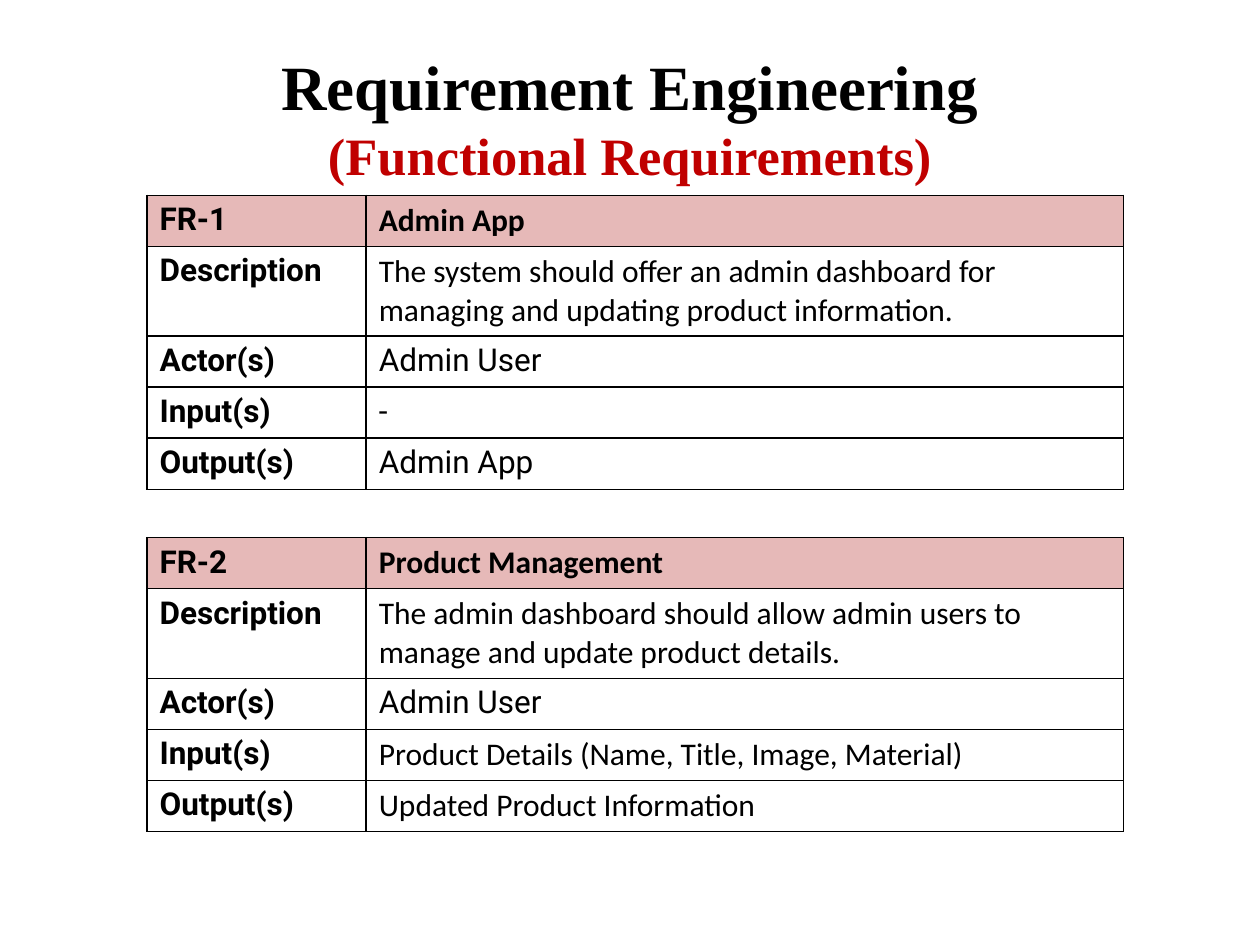
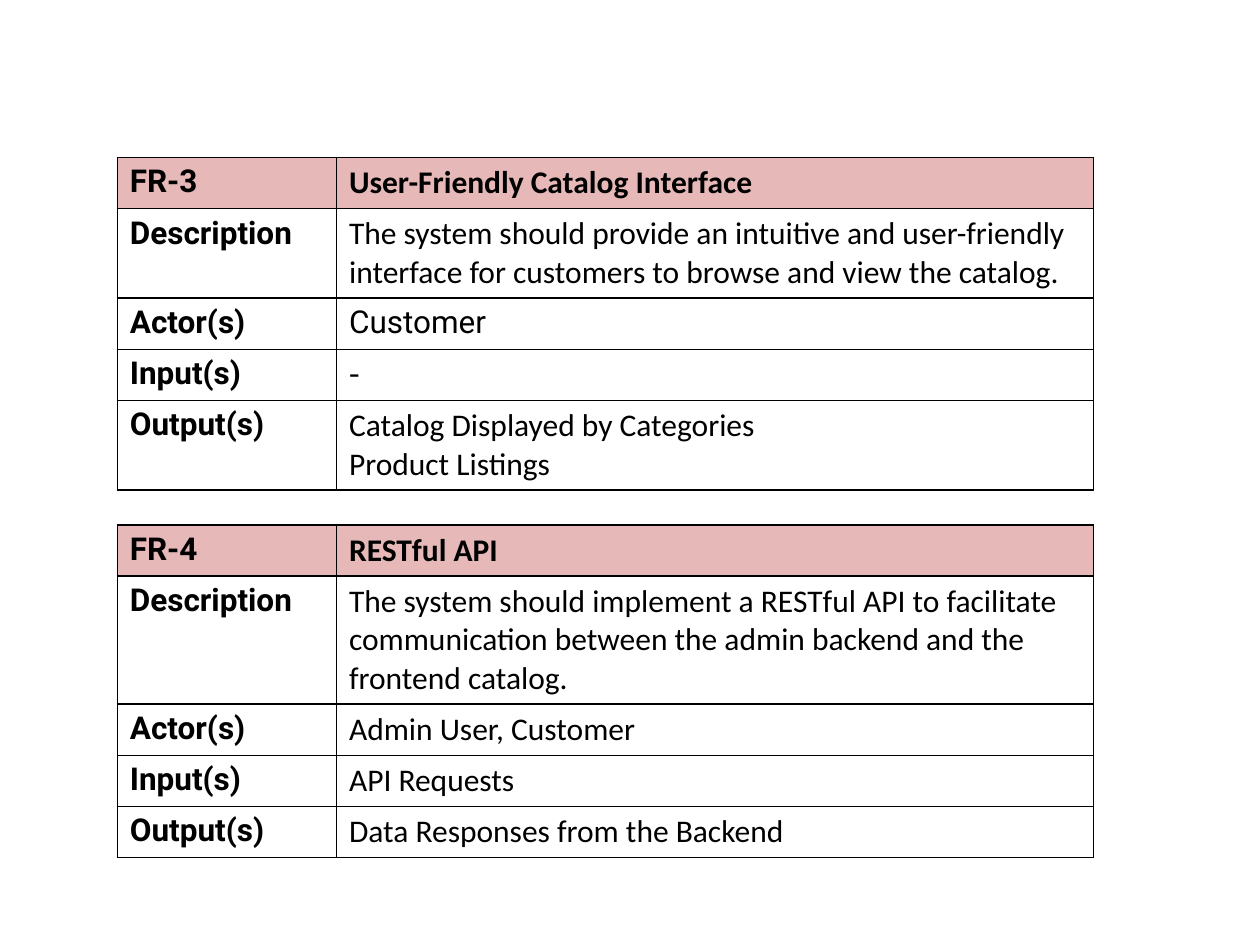
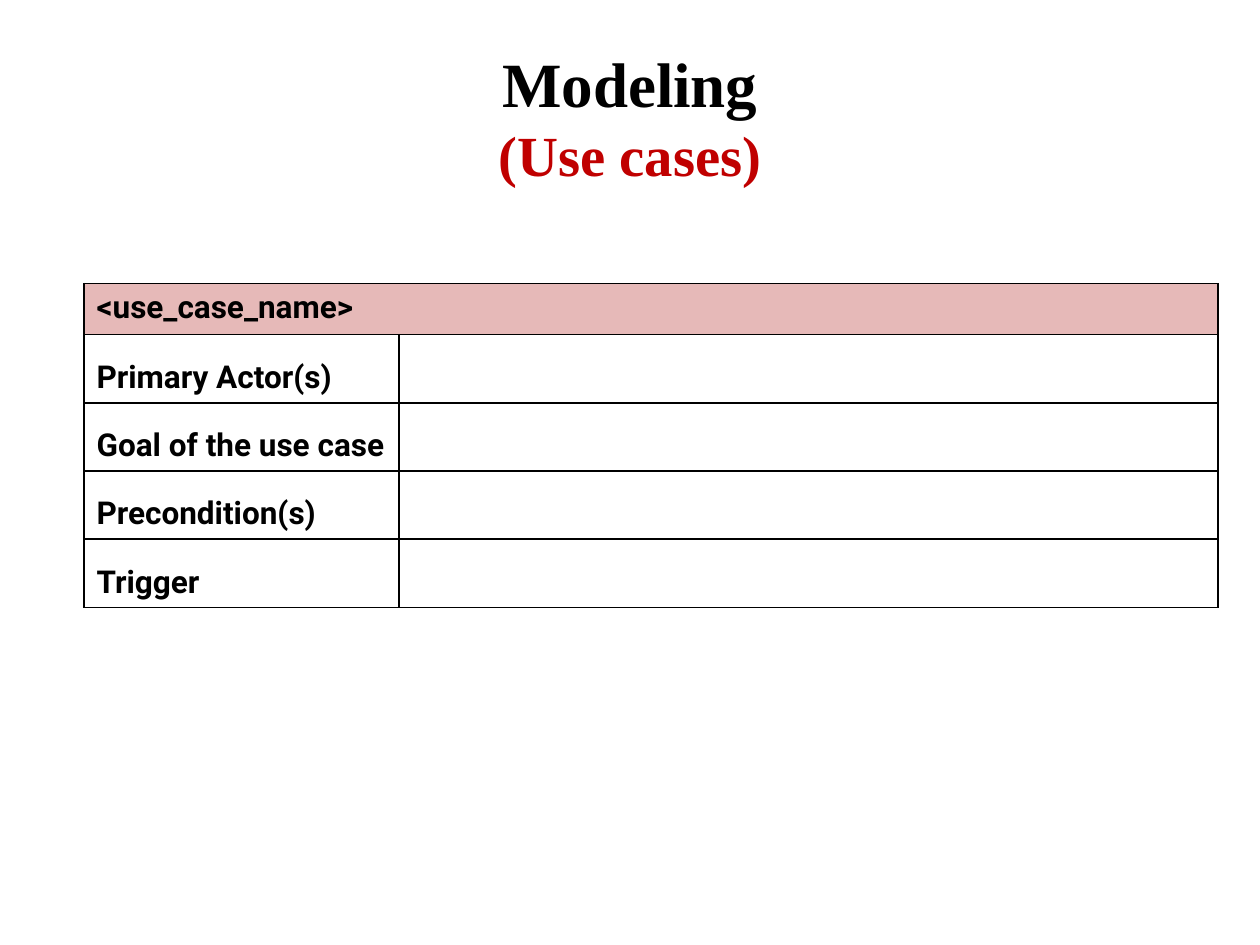
from pptx import Presentation
from pptx.dml.color import RGBColor
from pptx.enum.text import MSO_ANCHOR, MSO_AUTO_SIZE, PP_ALIGN
from pptx.oxml import parse_xml
from pptx.oxml.ns import nsdecls
from pptx.util import Pt

CENTER = PP_ALIGN.CENTER
MIDDLE = MSO_ANCHOR.MIDDLE
NO_FIT = MSO_AUTO_SIZE.NONE
TITLE_ONLY, BLANK = 5, 6

BLACK, RED, PINK = "000000", "C00000", "E6B9B8"
SERIF, LABEL, BODY = "Times New Roman", "Roboto", "Calibri"
FIELDS = ["Description", "Actor(s)", "Input(s)", "Output(s)"]


def rgb(value):
    return RGBColor.from_string(value)


class Deck:
    """Holds the shared style and the current slide."""

    row_height = 29.2
    text_size = 18
    line_pitch = 22

    def __init__(self):
        self.prs = Presentation()
        self.prs.slide_width, self.prs.slide_height = Pt(720), Pt(540)
        self.s = None

    def slide(self, layout=BLANK):
        self.s = self.prs.slides.add_slide(self.prs.slide_layouts[layout])

    def font(self, font, name, size, color=BLACK, bold=False):
        font.name, font.size, font.bold = name, Pt(size), bold
        font.color.rgb = rgb(color)

    def title(self, heading, subtitle, subtitle_size):
        sp = self.s.shapes.title
        sp.left, sp.top, sp.width, sp.height = Pt(36), Pt(21.6), Pt(648), Pt(90)
        tf = sp.text_frame
        tf.auto_size, tf.vertical_anchor = NO_FIT, MIDDLE
        p = tf.paragraphs[0]
        p.alignment = CENTER
        r = p.add_run()
        r.text = heading
        self.font(r.font, SERIF, 36, bold=True)
        p.add_line_break()
        r = p.add_run()
        r.text = subtitle
        self.font(r.font, SERIF, subtitle_size, RED, True)

    def grid(self, left, top, widths, heights):
        shape = self.s.shapes.add_table(len(heights), len(widths), Pt(left), Pt(top),
                                        Pt(sum(widths)), Pt(sum(heights)))
        table = shape.table
        table.first_row = table.horz_banding = False
        for column, width in zip(table.columns, widths):
            column.width = Pt(width)
        for row, height in zip(table.rows, heights):
            row.height = Pt(height)
        for cell in table.iter_cells():
            cell.fill.background()
            self.borders(cell)
        for cell in table.rows[0].cells:
            cell.fill.solid()
            cell.fill.fore_color.rgb = rgb(PINK)
        return table

    def borders(self, cell):
        tc_pr = cell._tc.get_or_add_tcPr()
        for i, side in enumerate(("lnL", "lnR", "lnT", "lnB")):
            tc_pr.insert(i, parse_xml(
                f'<a:{side} {nsdecls("a")} w="{Pt(1)}"><a:solidFill>'
                f'<a:srgbClr val="{BLACK}"/></a:solidFill></a:{side}>'))

    def cell_text(self, cell, text, name=LABEL, bold=True, spacing=None):
        cell.text = text
        for p in cell.text_frame.paragraphs:
            self.font(p.font, name, self.text_size, bold=bold)
            if spacing:
                p.line_spacing = spacing

    def requirement(self, left, top, code, name, values, lines):
        """One requirement card; lines gives the text lines of each row."""
        heights = [self.row_height + self.line_pitch * (n - 1) for n in lines]
        table = self.grid(left, top, [125.28, 432.72], heights)
        for i, label in enumerate([code] + FIELDS):
            self.cell_text(table.cell(i, 0), label)
        self.cell_text(table.cell(0, 1), name, BODY)
        for i, (text, face) in enumerate(values, 1):
            self.cell_text(table.cell(i, 1), text, face, False)

    def use_case(self, left, top, name, labels):
        """A use case form with a merged header and empty answers."""
        table = self.grid(left, top, [180, 468],
                          [self.row_height] + [39] * len(labels))
        table.cell(0, 0).merge(table.cell(0, 1))
        self.cell_text(table.cell(0, 0), name)
        for i, label in enumerate(labels, 1):
            self.cell_text(table.cell(i, 0), label, spacing=1.5)


deck = Deck()

# Slide 1: admin requirements
deck.slide(TITLE_ONLY)
deck.title("Requirement Engineering", "(Functional Requirements)", 30)
deck.requirement(84, 111.6, "FR-1", "Admin App", [
    ("The system should offer an admin dashboard for managing and updating "
     "product information.", BODY),
    ("Admin User", LABEL),
    ("-", LABEL),
    ("Admin App", LABEL)], [1, 2, 1, 1, 1])
deck.requirement(84, 307.2, "FR-2", "Product Management", [
    ("The admin dashboard should allow admin users to manage and update "
     "product details.", BODY),
    ("Admin User", LABEL),
    ("Product Details (Name, Title, Image, Material)", BODY),
    ("Updated Product Information", BODY)], [1, 2, 1, 1, 1])

# Slide 2: catalog and API requirements
deck.slide()
deck.requirement(67, 90, "FR-3", "User-Friendly Catalog Interface", [
    ("The system should provide an intuitive and user-friendly interface for "
     "customers to browse and view the catalog.", BODY),
    ("Customer", LABEL),
    ("-", SERIF),
    ("Catalog Displayed by Categories\nProduct Listings", BODY)], [1, 2, 1, 1, 2])
deck.requirement(67, 300, "FR-4", "RESTful API", [
    ("The system should implement a RESTful API to facilitate communication "
     "between the admin backend and the frontend catalog.", BODY),
    ("Admin User, Customer", BODY),
    ("API Requests", BODY),
    ("Data Responses from the Backend", BODY)], [1, 3, 1, 1, 1])

# Slide 3: use case form
deck.slide(TITLE_ONLY)
deck.title("Modeling", "(Use cases)", 32.4)
deck.use_case(48, 162, "<use_case_name>", [
    "Primary Actor(s)", "Goal of the use case", "Precondition(s)", "Trigger"])

deck.prs.save("out.pptx")
